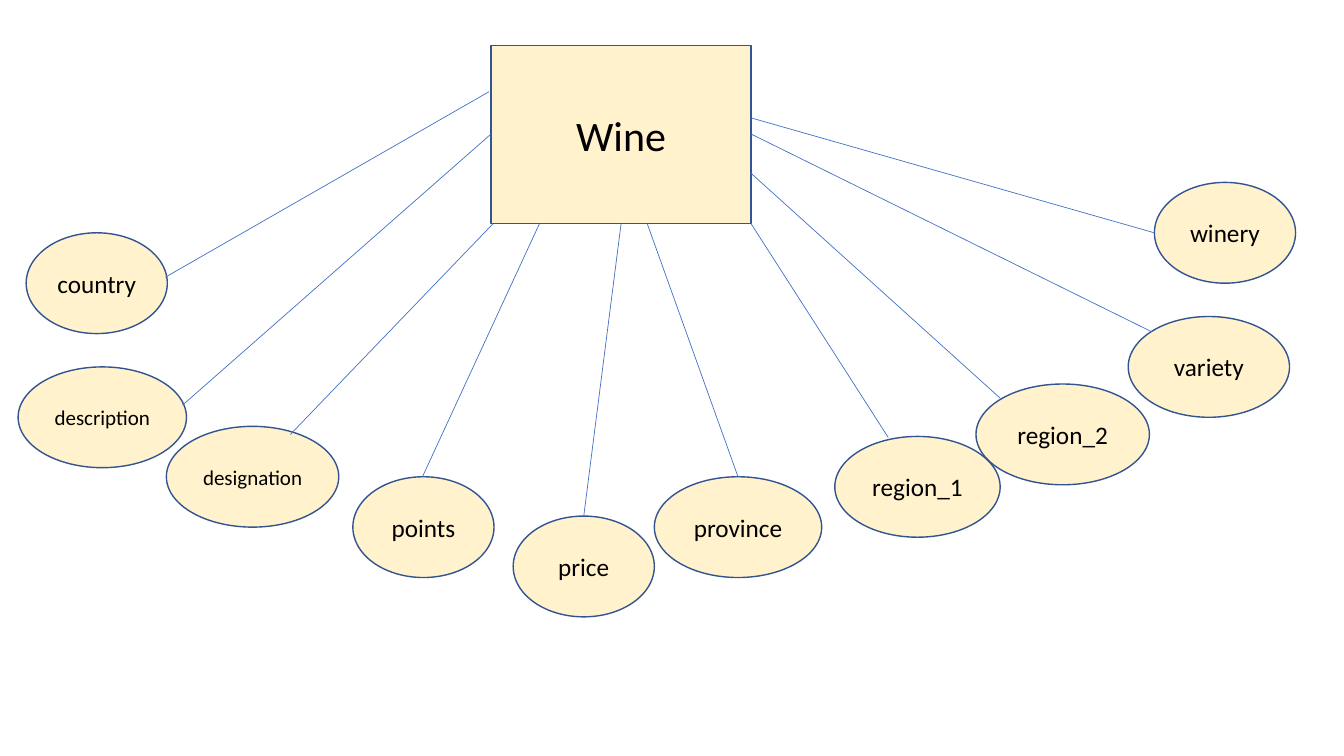
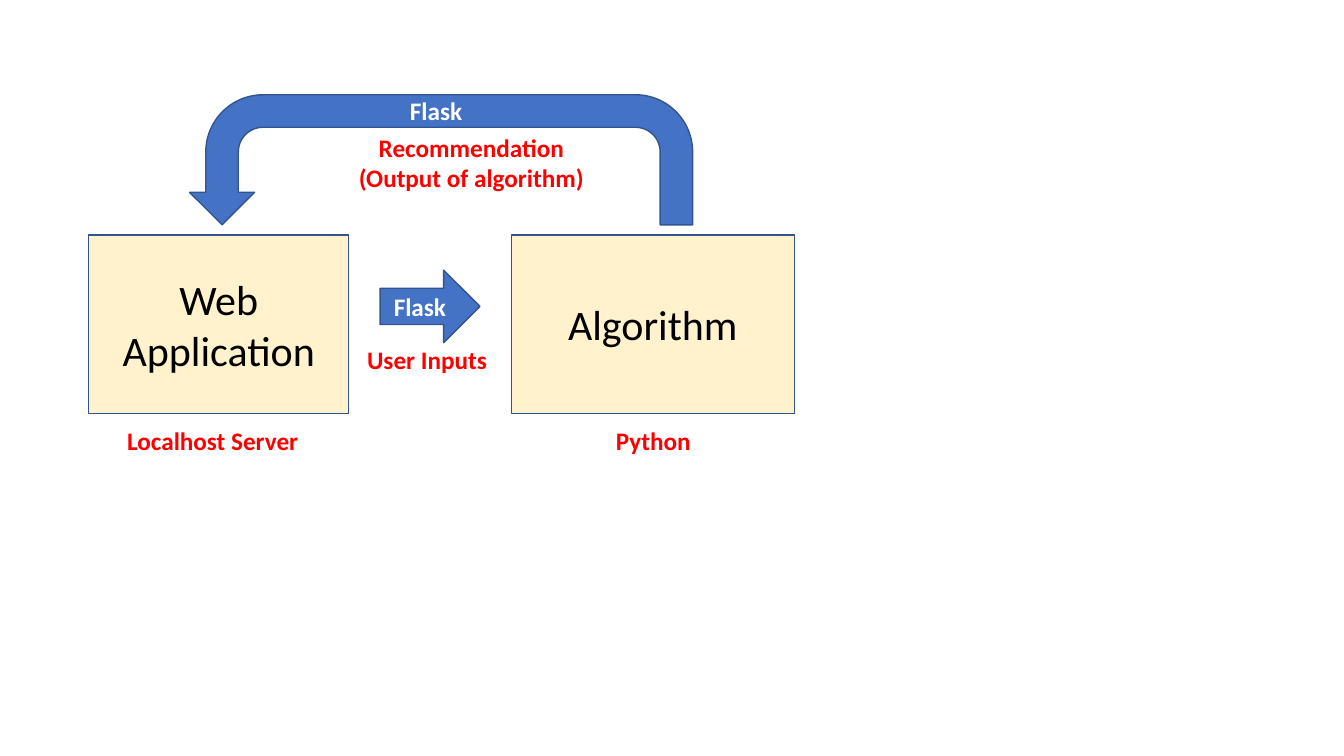
from collections import namedtuple

from lxml import etree
from pptx import Presentation
from pptx.dml.color import RGBColor
from pptx.enum.shapes import MSO_CONNECTOR, MSO_SHAPE
from pptx.enum.text import MSO_ANCHOR, MSO_AUTO_SIZE, PP_ALIGN
from pptx.oxml.ns import qn
from pptx.util import Inches, Pt

RECTANGLE = MSO_SHAPE.RECTANGLE
ELLIPSE = MSO_SHAPE.OVAL
RIGHT_ARROW = MSO_SHAPE.RIGHT_ARROW
U_TURN_ARROW = MSO_SHAPE.U_TURN_ARROW
STRAIGHT = MSO_CONNECTOR.STRAIGHT
CENTER = PP_ALIGN.CENTER
MIDDLE = MSO_ANCHOR.MIDDLE
GROW = MSO_AUTO_SIZE.SHAPE_TO_FIT_TEXT

CREAM = RGBColor(0xFF, 0xF2, 0xCC)
OUTLINE = RGBColor(0x32, 0x54, 0x91)
BLUE = RGBColor(0x44, 0x72, 0xC4)
RED = RGBColor(0xFF, 0x00, 0x00)
BLACK = RGBColor(0x00, 0x00, 0x00)
WHITE = RGBColor(0xFF, 0xFF, 0xFF)
FONT = "Calibri"
TITLE_SIZE = 30
TEXT_SIZE = 18
SMALL_SIZE = 15
BOX_HEIGHT = 1.77
ATTRIBUTE_HEIGHT = 1
LABEL_HEIGHT = 0.4

Box = namedtuple("Box", "left top width height")
Attribute = namedtuple("Attribute", "name size left top width start end")

ATTRIBUTES = [
    Attribute("country", TEXT_SIZE, 0.08, 1.86, 1.4, (4.67, 0.46), (1.46, 2.3)),
    Attribute("description", SMALL_SIZE, 0, 3.19, 1.67, (4.69, 0.88), (1.63, 3.57)),
    Attribute("designation", SMALL_SIZE, 1.47, 3.78, 1.71, (4.71, 1.77), (2.7, 3.86)),
    Attribute("points", TEXT_SIZE, 3.32, 4.28, 1.4, (5.17, 1.77), (4.01, 4.28)),
    Attribute("price", TEXT_SIZE, 4.91, 4.67, 1.4, (5.98, 1.77), (5.61, 4.67)),
    Attribute("province", TEXT_SIZE, 6.31, 4.28, 1.66, (6.24, 1.77), (7.14, 4.28)),
    Attribute("region_1", TEXT_SIZE, 8.1, 3.88, 1.64, (7.27, 1.77), (8.63, 3.89)),
    Attribute("region_2", TEXT_SIZE, 9.5, 3.36, 1.72, (7.27, 1.27), (9.74, 3.5)),
    Attribute("variety", TEXT_SIZE, 11.01, 2.69, 1.6, (7.27, 0.88), (11.24, 2.84)),
    Attribute("winery", TEXT_SIZE, 11.27, 1.36, 1.4, (7.27, 0.72), (11.27, 1.86)),
]

LABELS = [
    (["Localhost Server"], RED, 0.12, 3.27, 2.22, LABEL_HEIGHT),
    (["Python"], RED, 4.49, 3.27, 2.22, LABEL_HEIGHT),
    (["User Inputs"], RED, 2.61, 2.47, 1.49, LABEL_HEIGHT),
    (["Recommendation", "(Output of algorithm)"], RED, 2.5, 0.36, 2.59, 0.71),
    (["Flask"], WHITE, 2.54, 1.94, 1.49, LABEL_HEIGHT),
    (["Flask"], WHITE, 2.7, 0, 1.49, LABEL_HEIGHT),
]


def within(area, left, top, width, height):
    return [Inches(n) for n in (area.left + left, area.top + top, width, height)]


def write(frame, lines, size, color, bold=False):
    frame.word_wrap = True
    for index, line in enumerate(lines):
        para = frame.add_paragraph() if index else frame.paragraphs[0]
        para.alignment = CENTER
        span = para.add_run()
        span.text = line
        span.font.name = FONT
        span.font.size = Pt(size)
        span.font.bold = bold
        span.font.color.rgb = color


def add_outlined(shapes, kind, place, fill):
    shape = shapes.add_shape(kind, *place)
    shape.shadow.inherit = False
    shape.fill.solid()
    shape.fill.fore_color.rgb = fill
    shape.line.color.rgb = OUTLINE
    shape.line.width = Pt(1)
    return shape


def add_node(shapes, kind, place, text, size):
    node = add_outlined(shapes, kind, place, CREAM)
    node.text_frame.vertical_anchor = MIDDLE
    write(node.text_frame, [text], size, BLACK)


def add_label(shapes, place, lines, color):
    label = shapes.add_textbox(*place)
    write(label.text_frame, lines, TEXT_SIZE, color, bold=True)
    label.text_frame.auto_size = GROW


def add_link(shapes, area, start, end):
    ends = [Inches(n) for x, y in (start, end) for n in (area.left + x, area.top + y)]
    link = shapes.add_connector(STRAIGHT, *ends)
    link.line.color.rgb = BLUE
    link.line.width = Pt(0.5)
    etree.SubElement(link.element.spPr, qn("a:effectLst"))


def draw_entity(shapes, area):
    add_node(shapes, RECTANGLE, within(area, 4.69, 0, 2.58, BOX_HEIGHT), "Wine", TITLE_SIZE)
    for item in ATTRIBUTES:
        place = within(area, item.left, item.top, item.width, ATTRIBUTE_HEIGHT)
        add_node(shapes, ELLIPSE, place, item.name, item.size)
    for item in ATTRIBUTES:
        add_link(shapes, area, item.start, item.end)


def draw_data_flow(shapes, area):
    for text, left, width in (("Web Application", 0, 2.58), ("Algorithm", 4.19, 2.81)):
        place = within(area, left, 1.43, width, BOX_HEIGHT)
        add_node(shapes, RECTANGLE, place, text, TITLE_SIZE)
    add_outlined(shapes, RIGHT_ARROW, within(area, 2.89, 1.78, 0.99, 0.72), BLUE)
    return_arrow = add_outlined(shapes, U_TURN_ARROW, within(area, 1, 0.04, 4.99, 1.29), BLUE)
    for index, value in enumerate((0.25, 0.25, 0.25, 0.44, 1)):
        return_arrow.adjustments[index] = value
    return_arrow.element.spPr.find(qn("a:xfrm")).set("flipH", "1")
    for lines, color, *place in LABELS:
        add_label(shapes, within(area, *place), lines, color)


deck = Presentation()
deck.slide_width = Inches(13.33)
deck.slide_height = Inches(7.5)
blank = deck.slide_layouts[6]

entity_page = deck.slides.add_slide(blank)
draw_entity(entity_page.shapes, Box(0.18, 0.45, 12.67, 5.67))

flow_page = deck.slides.add_slide(blank)
flow_group = flow_page.shapes.add_group_shape()
draw_data_flow(flow_group.shapes, Box(0.88, 0.9, 7, 3.67))

deck.save("out.pptx")
